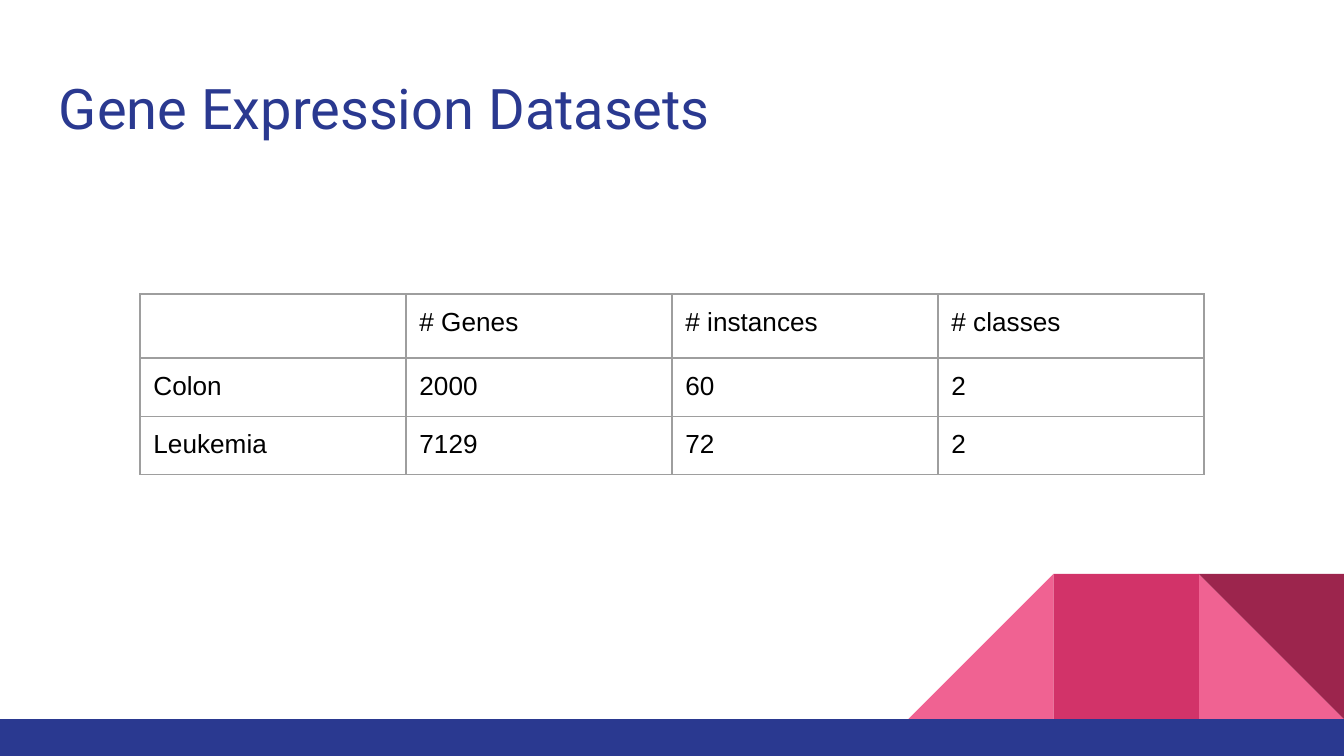
from lxml.etree import SubElement
from pptx import Presentation
from pptx.dml.color import RGBColor
from pptx.enum.shapes import MSO_SHAPE
from pptx.enum.text import MSO_ANCHOR
from pptx.oxml.ns import qn
from pptx.util import Pt

NAVY = RGBColor(0x2A, 0x39, 0x90)
PINK = RGBColor(0xF0, 0x62, 0x92)
ROSE = RGBColor(0xD2, 0x33, 0x69)
WINE = RGBColor(0x9C, 0x25, 0x4D)
BLACK = RGBColor(0, 0, 0)
GRAY = RGBColor(0x9E, 0x9E, 0x9E)


def write(frame, text, size, font, color):
    para = frame.paragraphs[0]
    span = para.add_run()
    span.text = text
    span.font.size = Pt(size)
    span.font.name = font
    span.font.color.rgb = color


def add_border(cell, side):
    properties = cell._tc.get_or_add_tcPr()
    line = SubElement(properties, qn(f"a:{side}"), w=str(Pt(0.75)))
    fill = SubElement(line, qn("a:solidFill"))
    SubElement(fill, qn("a:srgbClr"), val=str(GRAY))


deck = Presentation()
deck.slide_width = Pt(720)
deck.slide_height = Pt(405)
page = deck.slides.add_slide(deck.slide_layouts[6])

tile = 77.8
bar_top = 385.2
tile_top = bar_top - tile
right = 720 - tile
decorations = [
    (MSO_SHAPE.RIGHT_TRIANGLE, right, tile_top, tile, tile, PINK, 0, False),
    (MSO_SHAPE.RIGHT_TRIANGLE, right - 2 * tile, tile_top, tile, tile, PINK, 0, True),
    (MSO_SHAPE.RECTANGLE, right - tile, tile_top, tile, tile, ROSE, 0, False),
    (MSO_SHAPE.RIGHT_TRIANGLE, right, tile_top, tile, tile, WINE, 180, False),
    (MSO_SHAPE.RECTANGLE, 0, bar_top, 720, 405 - bar_top, NAVY, 0, False),
]
for kind, left, top, width, height, color, rotation, flipped in decorations:
    shape = page.shapes.add_shape(kind, Pt(left), Pt(top), Pt(width), Pt(height))
    shape.shadow.inherit = False
    shape.fill.solid()
    shape.fill.fore_color.rgb = color
    shape.line.fill.background()
    shape.rotation = rotation
    if flipped:
        shape._element.spPr.xfrm.set("flipH", "1")

box = page.shapes.add_textbox(Pt(24.5), Pt(32.4), Pt(671), Pt(47.5))
frame = box.text_frame
frame.word_wrap = True
frame.vertical_anchor = MSO_ANCHOR.TOP
frame.margin_left = frame.margin_right = Pt(7.2)
frame.margin_top = frame.margin_bottom = Pt(7.2)
write(frame, "Gene Expression Datasets", size=30, font="Roboto", color=NAVY)

rows = [
    ["", "# Genes", "# instances", "# classes"],
    ["Colon", "2000", "60", "2"],
    ["Leukemia", "7129", "72", "2"],
]
row_heights = [34.3, 30, 30]
table = page.shapes.add_table(
    len(rows), len(rows[0]), Pt(75), Pt(157.5), Pt(570), Pt(sum(row_heights))
).table
table.first_row = False
table.horz_banding = False
for column in table.columns:
    column.width = Pt(142.5)
for row, height, texts in zip(table.rows, row_heights, rows):
    row.height = Pt(height)
    for cell, text in zip(row.cells, texts):
        for side in ("lnL", "lnR", "lnT", "lnB"):
            add_border(cell, side)
        cell.fill.background()
        if text:
            cell.margin_left = cell.margin_right = Pt(7.2)
            cell.margin_top = cell.margin_bottom = Pt(7.2)
            write(cell.text_frame, text, size=14, font="Arial", color=BLACK)

deck.save("out.pptx")
